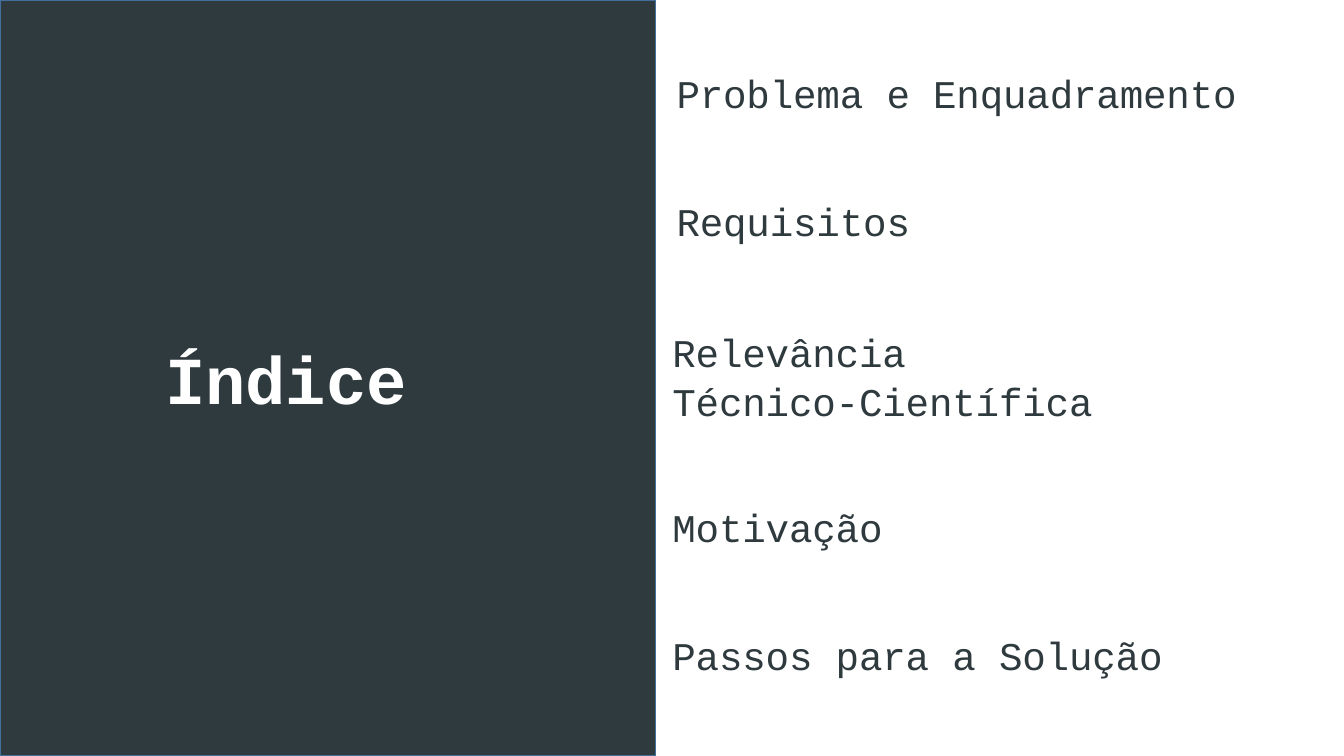
"""Build the index slide: a dark title panel beside the list of topics."""
from pptx import Presentation
from pptx.dml.color import RGBColor
from pptx.enum.shapes import MSO_SHAPE
from pptx.util import Inches, Pt

INK = "2F3A3E"
WHITE = "FFFFFF"
PANEL_EDGE = "41709C"
FONT = "Courier New"

PANEL_WIDTH = 6.5
TITLE = ("Índice", (1.63, 3.34, 3.23, 0.82))
TOPICS = [
    (["Problema e Enquadramento"], (6.7, 0.68, 5.62, 0.49), 33.5),
    (["Requisitos"], (6.7, 1.95, 4.22, 0.49), None),
    (["Relevância", "Técnico-Científica"], (6.66, 3.25, 5.17, 0.97), None),
    (["Motivação"], (6.66, 4.98, 5.66, 0.48), None),
    (["Passos para a Solução"], (6.66, 6.25, 5.97, 0.49), 33.5),
]


def color(hex_code):
    return RGBColor.from_string(hex_code)


def add_text(slide, lines, box, *, size, ink, bold=False, leading=None, before=0.9):
    frame = slide.shapes.add_textbox(*map(Inches, box)).text_frame
    frame.word_wrap = True
    frame.margin_left = frame.margin_right = frame.margin_bottom = 0
    frame.margin_top = Inches(0.01)
    for index, line in enumerate(lines):
        paragraph = frame.add_paragraph() if index else frame.paragraphs[0]
        paragraph.space_before = Pt(before)
        if leading:
            paragraph.line_spacing = Pt(leading)
        properties = paragraph._p.get_or_add_pPr()
        properties.set("marL", str(Inches(0.01)))
        run = paragraph.add_run()
        run.text = line
        run.font.name = FONT
        run.font.size = Pt(size)
        run.font.bold = bold
        run.font.color.rgb = color(ink)
        run._r.get_or_add_rPr().set("spc", "-10")


def main():
    deck = Presentation()
    deck.slide_width, deck.slide_height = Inches(13.33), Inches(7.5)
    slide = deck.slides.add_slide(deck.slide_layouts[6])

    panel = slide.shapes.add_shape(
        MSO_SHAPE.RECTANGLE, 0, 0, Inches(PANEL_WIDTH), deck.slide_height
    )
    panel.shadow.inherit = False
    panel.fill.solid()
    panel.fill.fore_color.rgb = color(INK)
    panel.line.color.rgb = color(PANEL_EDGE)
    panel.line.width = Pt(0.96)

    title, title_box = TITLE
    add_text(slide, [title], title_box, size=48, ink=WHITE, bold=True, before=1)
    for lines, box, leading in TOPICS:
        add_text(slide, lines, box, size=28, ink=INK, leading=leading)

    deck.save("out.pptx")


if __name__ == "__main__":
    main()
